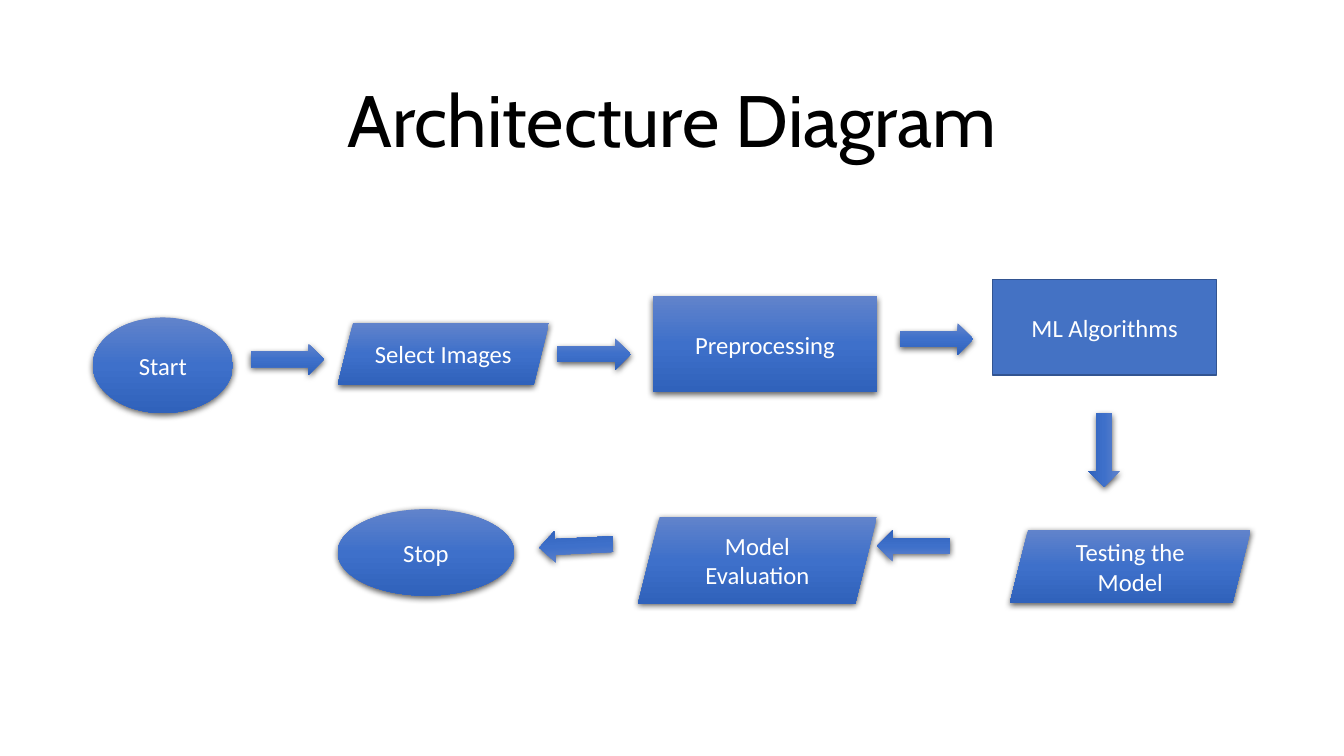
from pptx import Presentation
from pptx.dml.color import RGBColor
from pptx.enum import shapes, text
from pptx.oxml import parse_xml
from pptx.util import Cm, Pt

KIND = shapes.MSO_SHAPE
NS = 'xmlns:a="http://schemas.openxmlformats.org/drawingml/2006/main"'
STOPS = [(0, "6183CB"), (50, "3E70CA"), (100, "3062BB")]


def write(box, words, font, size, color):
    frame = box.text_frame
    frame.word_wrap = True
    frame.vertical_anchor = text.MSO_ANCHOR.MIDDLE
    para = frame.paragraphs[0]
    para.alignment = text.PP_ALIGN.CENTER
    span = para.add_run()
    span.text = words
    span.font.name = font
    span.font.size = Pt(size)
    span.font.color.rgb = RGBColor.from_string(color)
    return para


def gloss(shape):
    """Vertical blue gradient, no outline, soft shadow below."""
    stops = "".join(f'<a:gs pos="{at * 1000}"><a:srgbClr val="{color}"/></a:gs>'
                    for at, color in STOPS)
    properties = shape._element.spPr
    properties.append(parse_xml(
        f'<a:gradFill {NS} rotWithShape="1"><a:gsLst>{stops}</a:gsLst>'
        '<a:lin ang="5400000" scaled="0"/></a:gradFill>'))
    shape.line.fill.background()
    properties.append(parse_xml(
        f'<a:effectLst {NS}><a:outerShdw blurRad="{Pt(4.5)}" dist="{Pt(1.5)}" '
        'dir="5400000" algn="ctr" rotWithShape="0"><a:srgbClr val="000000">'
        '<a:alpha val="63000"/></a:srgbClr></a:outerShdw></a:effectLst>'))


deck = Presentation()
deck.slide_width, deck.slide_height = Cm(33.87), Cm(19.05)
page = deck.slides.add_slide(deck.slide_layouts[6])

# Title
title = page.shapes.add_textbox(Cm(2.33), Cm(1.55), Cm(29.21), Cm(3.15))
write(title, "Architecture Diagram", "Cabin", 52, "000000").line_spacing = 0.9

# Steps: words, kind, left, top, width, height
steps = [
    ("Start", KIND.OVAL, 2.34, 8, 3.53, 2.41),
    ("Select Images", KIND.PARALLELOGRAM, 8.51, 8.13, 5.33, 1.57),
    ("Preprocessing", KIND.RECTANGLE, 16.46, 7.47, 5.64, 2.41),
    ("ML Algorithms", KIND.RECTANGLE, 25.02, 7.04, 5.64, 2.41),
    ("Testing the Model", KIND.PARALLELOGRAM, 25.45, 13.36, 6.07, 1.83),
    ("Model Evaluation", KIND.PARALLELOGRAM, 16.08, 13.03, 6.02, 2.18),
    ("Stop", KIND.OVAL, 8.51, 12.83, 4.45, 2.18),
]
for words, kind, *place in steps:
    step = page.shapes.add_shape(kind, *map(Cm, place))
    write(step, words, "Calibri", 17.6, "FFFFFF").space_after = Pt(6)
    if words == "ML Algorithms":  # the one flat box
        step.shadow.inherit = False
        step.fill.solid()
        step.fill.fore_color.rgb = RGBColor.from_string("4472C4")
        step.line.color.rgb = RGBColor.from_string("325491")
        step.line.width = Pt(1)
    else:
        gloss(step)

# Arrows: left, top, turn
arrows = [(6.32, 8.66, 0), (14.05, 8.53, 0), (22.68, 8.15, 0),
          (26.9, 10.95, 90), (22.1, 13.36, 180), (13.59, 13.36, 177.2)]
for left, top, turn in arrows:
    arrow = page.shapes.add_shape(KIND.RIGHT_ARROW, Cm(left), Cm(top), Cm(1.85), Cm(0.79))
    arrow.rotation = turn
    gloss(arrow)

deck.save("out.pptx")
